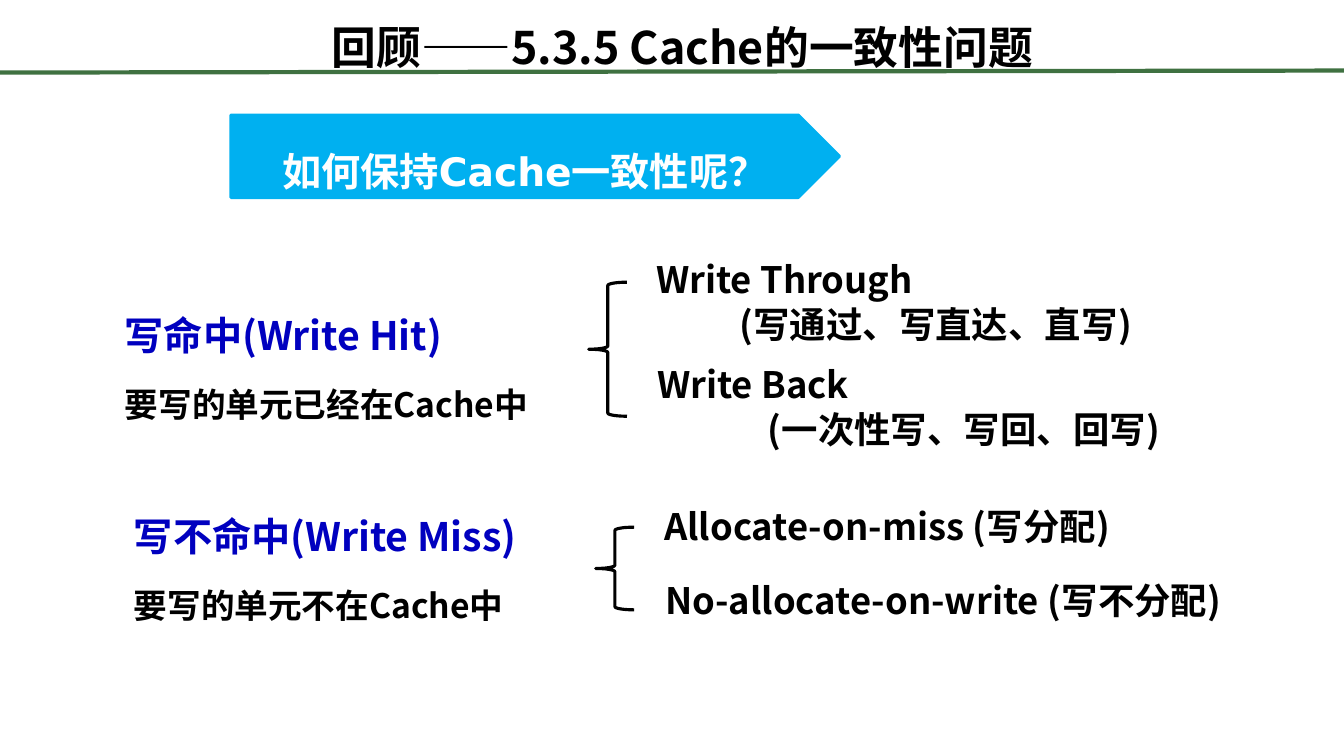
from pptx import Presentation
from pptx.dml.color import RGBColor
from pptx.enum.shapes import MSO_CONNECTOR as Connector, MSO_SHAPE as Shape
from pptx.enum.text import MSO_ANCHOR as Anchor, PP_ALIGN as Align
from pptx.oxml.ns import qn
from pptx.util import Inches, Pt

COLUMNS, ROWS = 40, 30


def color(value):
    return RGBColor.from_string(value)


class SlideBuilder:
    """Places styled elements on a grid of 40 columns by 30 rows."""
    font = "Noto Sans CJK SC"
    black, white, blue, sky, green = "000000", "FFFFFF", "0000BF", "00B0F0", "3F7141"

    def __init__(self, presentation):
        self.column = presentation.slide_width / COLUMNS
        self.row = presentation.slide_height / ROWS
        self.slide = presentation.slides.add_slide(presentation.slide_layouts[6])

    def place(self, x, y, width, height):
        return (round(x * self.column), round(y * self.row),
                round(width * self.column), round(height * self.row))

    def fill_text(self, shape, lines, align=Align.LEFT, spacing=1.0,
                  anchor=Anchor.TOP, latin=None):
        """Each line is (text, size, color, indent in columns)."""
        frame = shape.text_frame
        frame.word_wrap = True
        frame.vertical_anchor = anchor
        frame.text = "\n".join(line[0] for line in lines)
        for index, (paragraph, line) in enumerate(zip(frame.paragraphs, lines)):
            _, size, ink, indent = line
            paragraph.alignment = align
            paragraph.line_spacing = spacing
            if index:
                paragraph.space_before = Pt(round(size * 0.05, 1))
            if indent:
                properties = paragraph._p.get_or_add_pPr()
                properties.set("marL", str(round(indent * self.column)))
            for run in paragraph.runs:
                run.font.size, run.font.bold = Pt(size), True
                run.font.color.rgb = color(ink)
                run.font.name = latin or self.font
                east_asian = run._r.get_or_add_rPr().makeelement(
                    qn("a:ea"), {"typeface": self.font})
                run._r.rPr.find(qn("a:latin")).addnext(east_asian)

    def text(self, box, lines, **style):
        self.fill_text(self.slide.shapes.add_textbox(*self.place(*box)), lines, **style)

    def shape(self, kind, box, line, width, fill=None):
        shape = self.slide.shapes.add_shape(kind, *self.place(*box))
        shape.shadow.inherit = False
        shape.line.color.rgb, shape.line.width = color(line), Pt(width)
        if fill:
            shape.fill.solid()
            shape.fill.fore_color.rgb = color(fill)
        else:
            shape.fill.background()
        return shape

    def rule(self, start, end, line, width):
        connector = self.slide.shapes.add_connector(
            Connector.STRAIGHT, *self.place(*start, *end))
        connector.line.color.rgb, connector.line.width = color(line), Pt(width)
        properties = connector._element.spPr
        properties.append(properties.makeelement(qn("a:effectLst"), {}))


def main():
    presentation = Presentation()
    presentation.slide_width, presentation.slide_height = Inches(13.33), Inches(7.5)
    builder = SlideBuilder(presentation)
    black, blue = builder.black, builder.blue

    # Heading and rule
    builder.rule((0, 2.88), (COLUMNS, 2.8), builder.green, 3)
    builder.text((4.95, 0.36, 30.73, 2.96),
                 [("回顾——5.3.5 Cache的一致性问题", 32, black, 0)],
                 align=Align.CENTER, anchor=Anchor.MIDDLE)

    # Question banner
    banner = builder.shape(Shape.PENTAGON, (6.87, 4.56, 18.12, 3.28),
                           builder.sky, 2, builder.sky)
    builder.fill_text(banner, [("如何保持Cache一致性呢？", 28, builder.white, 0)],
                      align=Align.CENTER, spacing=1.6, anchor=Anchor.MIDDLE,
                      latin="DejaVu Sans")

    # Write cases, each with its brace
    cases = [
        (3.42, 11.04, "写命中(Write Hit)", "要写的单元已经在Cache中", (17.52, 11.2, 1.14, 5.32)),
        (3.69, 19, "写不命中(Write Miss)", "要写的单元不在Cache中", (17.73, 20.92, 1.14, 3.28)),
    ]
    for x, y, name, meaning, brace in cases:
        builder.text((x, y, 15.39, 5.76),
                     [(name, 28, blue, 0), (meaning, 24, black, 0)], spacing=1.6)
        builder.shape(Shape.LEFT_BRACE, brace, black, 2.25)

    # Policies: box, then (text, indent) for each line
    policies = [
        ((19.23, 10, 19.9, 4), [("Write Through", 0), ("(写通过、写直达、直写)", 2.49)]),
        ((19.26, 14.16, 16.92, 4), [("Write Back", 0), ("(一次性写、写回、回写)", 3.3)]),
        ((19.47, 19.8, 16.92, 2.16), [("Allocate-on-miss (写分配)", 0)]),
        ((19.5, 22.76, 18.3, 2.16), [("No-allocate-on-write (写不分配)", 0)]),
    ]
    for box, lines in policies:
        builder.text(box, [(words, 26, black, indent) for words, indent in lines])

    presentation.save("out.pptx")


if __name__ == "__main__":
    main()
